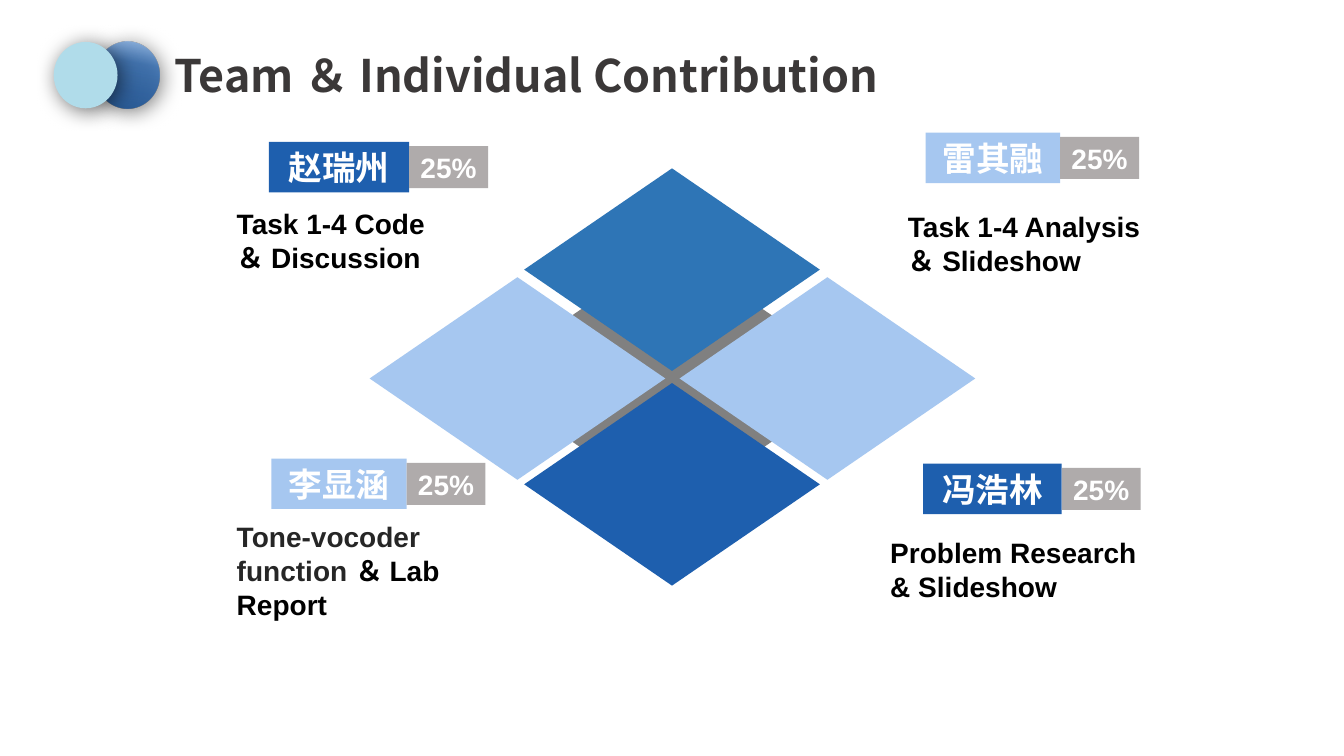
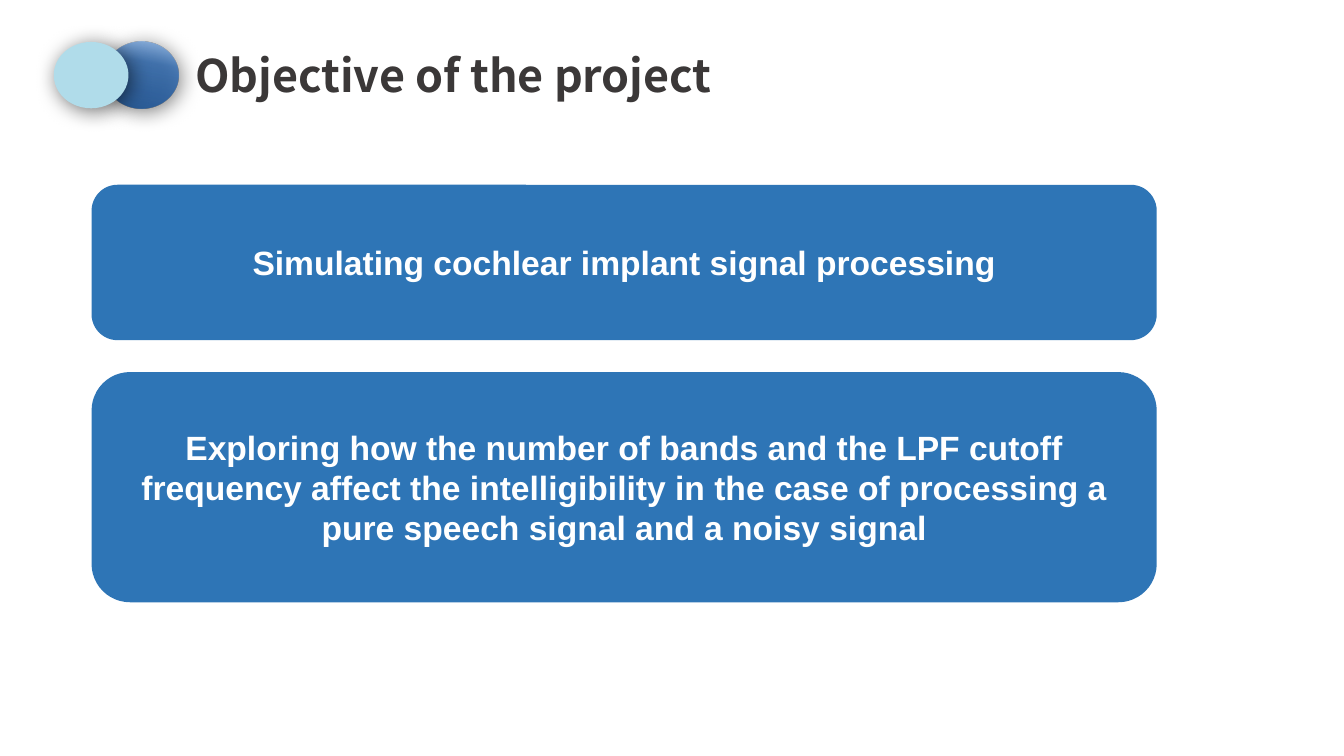
from lxml.etree import SubElement
from pptx import Presentation
from pptx.dml.color import RGBColor
from pptx.enum.shapes import MSO_SHAPE as Shape
from pptx.enum.text import MSO_ANCHOR as Anchor, MSO_AUTO_SIZE as AutoSize, PP_ALIGN as Align
from pptx.oxml.ns import qn
from pptx.util import Inches, Pt

COLUMNS, ROWS = 80, 45
LATIN, CHINESE = "Arial", "Noto Sans CJK SC"
WHITE, BLACK, CHARCOAL, INK = "FFFFFF", "000000", "262626", "3B3838"
GREY, SHADE, AQUA = "AFABAB", "808080", "B0DCEA"
BLUE, NAVY, SKY = "2E75B6", "1E5FAE", "A6C7F0"
# Each stop: position, colour and opacity, in percent
CIRCLE_STOPS = [(0, "8FB4E1", 90), (33, "306BB2", 81), (100, "275791", 100)]


def rgb(code):
    return RGBColor.from_string(code)


def add_tag(parent, tag, **attributes):
    values = {key: str(value) for key, value in attributes.items()}
    return SubElement(parent, qn(tag), values)


def add_colour(parent, code, opacity):
    colour = add_tag(parent, "a:srgbClr", val=code)
    add_tag(colour, "a:alpha", val=opacity * 1000)


class Slides:
    """Holds the deck, its style and the page being drawn."""

    def __init__(self):
        self.deck = Presentation()
        self.deck.slide_width, self.deck.slide_height = Inches(13.33), Inches(7.5)
        self.page = None

    def area(self, column, row, width, height):
        """Turn grid columns and rows into slide lengths."""
        across = self.deck.slide_width / COLUMNS
        down = self.deck.slide_height / ROWS
        return (round(column * across), round(row * down),
                round(width * across), round(height * down))

    def add_text(self, box, spans, size, font=LATIN, align=Align.LEFT,
                 anchor=Anchor.TOP, margins=(0.1, 0.05)):
        """Fill a box with one paragraph of (text, colour) spans."""
        frame = box.text_frame
        frame.word_wrap, frame.auto_size = True, AutoSize.NONE
        frame.vertical_anchor = anchor
        frame.margin_left = frame.margin_right = Inches(margins[0])
        frame.margin_top = frame.margin_bottom = Inches(margins[1])
        para = frame.paragraphs[0]
        para.alignment = align
        for text, colour in spans:
            span = para.add_run()
            span.text = text
            span.font.size, span.font.bold, span.font.name = Pt(size), True, font
            span.font.color.rgb = rgb(colour)
            add_tag(span._r.get_or_add_rPr(), "a:ea", typeface=CHINESE)

    def shape(self, kind, area, fill):
        shape = self.page.shapes.add_shape(kind, *self.area(*area))
        shape.shadow.inherit = False
        shape.fill.solid()
        shape.fill.fore_color.rgb = rgb(fill)
        shape.line.fill.background()
        return shape

    def label(self, kind, area, fill, text, size, font=LATIN, margins=(0.1, 0.05)):
        """Draw a filled shape with centred white text."""
        self.add_text(self.shape(kind, area, fill), [(text, WHITE)], size, font,
                      Align.CENTER, Anchor.MIDDLE, margins)

    def note(self, area, spans):
        box = self.page.shapes.add_textbox(*self.area(*area))
        self.add_text(box, spans, 20)

    def diamond(self, centre, size, fill):
        corner = [middle - length / 2 for middle, length in zip(centre, size)]
        self.shape(Shape.DIAMOND, (*corner, *size), fill)

    def circle(self, column, width, fill, stops=()):
        """Draw a shadowed title circle, shaded when stops are given."""
        circle = self.shape(Shape.OVAL, (column, 2.5, width, 3.95), fill)
        properties = circle._element.spPr
        if stops:
            circle.fill.gradient()
            circle.fill.gradient_angle = 260
            stop_list = properties.find(qn("a:gradFill")).find(qn("a:gsLst"))
            for old_stop in list(stop_list):
                stop_list.remove(old_stop)
            for position, code, opacity in stops:
                stop = add_tag(stop_list, "a:gs", pos=position * 1000)
                add_colour(stop, code, opacity)
        shadow = add_tag(properties.find(qn("a:effectLst")), "a:outerShdw",
                         blurRad=Pt(15), dist=Pt(3), dir=45 * 60000)
        add_colour(shadow, BLACK, 55)

    def start(self, title, title_column, title_width, circle_column, circle_width):
        """Add a page with its title and pair of circles."""
        self.page = self.deck.slides.add_slide(self.deck.slide_layouts[5])
        box = self.page.shapes.title
        box.left, box.top, box.width, box.height = self.area(
            title_column, 2.5, title_width, 3.85)
        self.add_text(box, [(title, INK)], 32, CHINESE, Align.CENTER,
                      Anchor.MIDDLE, (0.1, 0))
        self.circle(circle_column, circle_width, BLUE, CIRCLE_STOPS)
        self.circle(3.2, circle_width, AQUA)


def draw_team(slides):
    slides.start("Team ＆ Individual Contribution", 9.05, 44.6, 5.7, 3.8)
    middle, centre = 40, 22.53
    slides.diamond((middle, centre), (22.86, 15.66), SHADE)
    for across, down, fill in [(0, -6.48, BLUE), (-9.2, 0, SKY),
                               (9.25, 0, SKY), (0, 6.3, NAVY)]:
        slides.diamond((middle + across, centre + down), (17.6, 12.06), fill)

    members = [
        ("赵瑞州", NAVY, (16, 8.45, 8.35), (13.5, 12, 13.25, 4.6),
         [("Task 1-4 Code ＆ Discussion", BLACK)]),
        ("雷其融", SKY, (55.1, 7.9, 8), (53.45, 12.2, 15.4, 4.6),
         [("Task 1-4 Analysis ＆ Slideshow", BLACK)]),
        ("李显涵", SKY, (16.15, 27.3, 8.05), (13.5, 30.65, 14.7, 6.65),
         [("Tone-vocoder function ", CHARCOAL), ("＆ Lab Report", BLACK)]),
        ("冯浩林", NAVY, (54.95, 27.6, 8.25), (52.4, 31.6, 16.4, 4.6),
         [("Problem Research & Slideshow", BLACK)]),
    ]
    for name, fill, (column, row, width), note_area, spans in members:
        slides.label(Shape.RECTANGLE, (column, row, width, 3), fill, name, 24,
                     CHINESE, (0, 0))
        slides.label(Shape.RECTANGLE, (column + width, row + 0.25, 4.7, 2.5),
                     GREY, "25%", 20, margins=(0, 0.05))
        slides.note(note_area, spans)


def draw_objective(slides):
    slides.start("Objective of the project", 10.15, 33.7, 6.2, 4.45)
    goals = [
        (11, 9.25, "Simulating cochlear implant signal processing"),
        (22.15, 13.7, "Exploring how the number of bands and the LPF cutoff "
         "frequency affect the intelligibility in the case of processing a "
         "pure speech signal and a noisy signal"),
    ]
    for row, height, goal in goals:
        slides.label(Shape.ROUNDED_RECTANGLE, (5.45, row, 63.4, height), BLUE, goal, 24)


def main():
    slides = Slides()
    draw_team(slides)
    draw_objective(slides)
    slides.deck.save("out.pptx")


if __name__ == "__main__":
    main()
